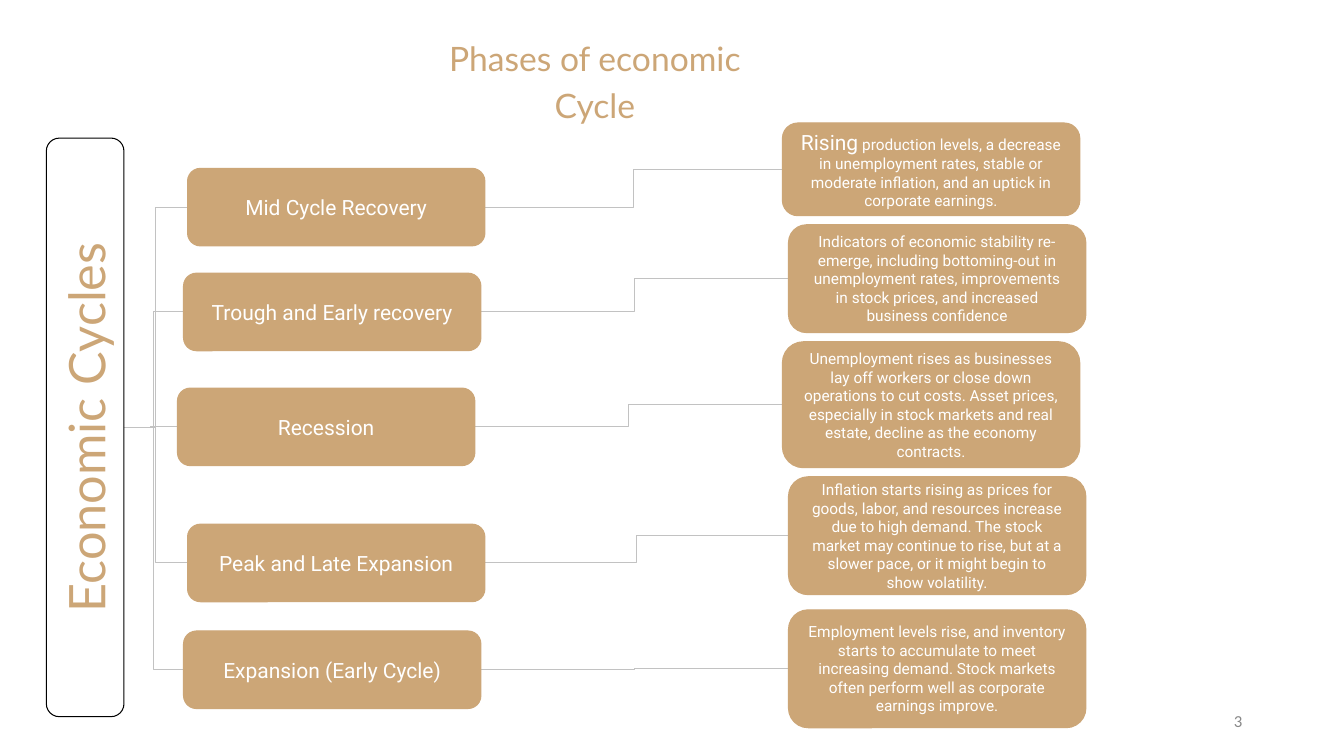
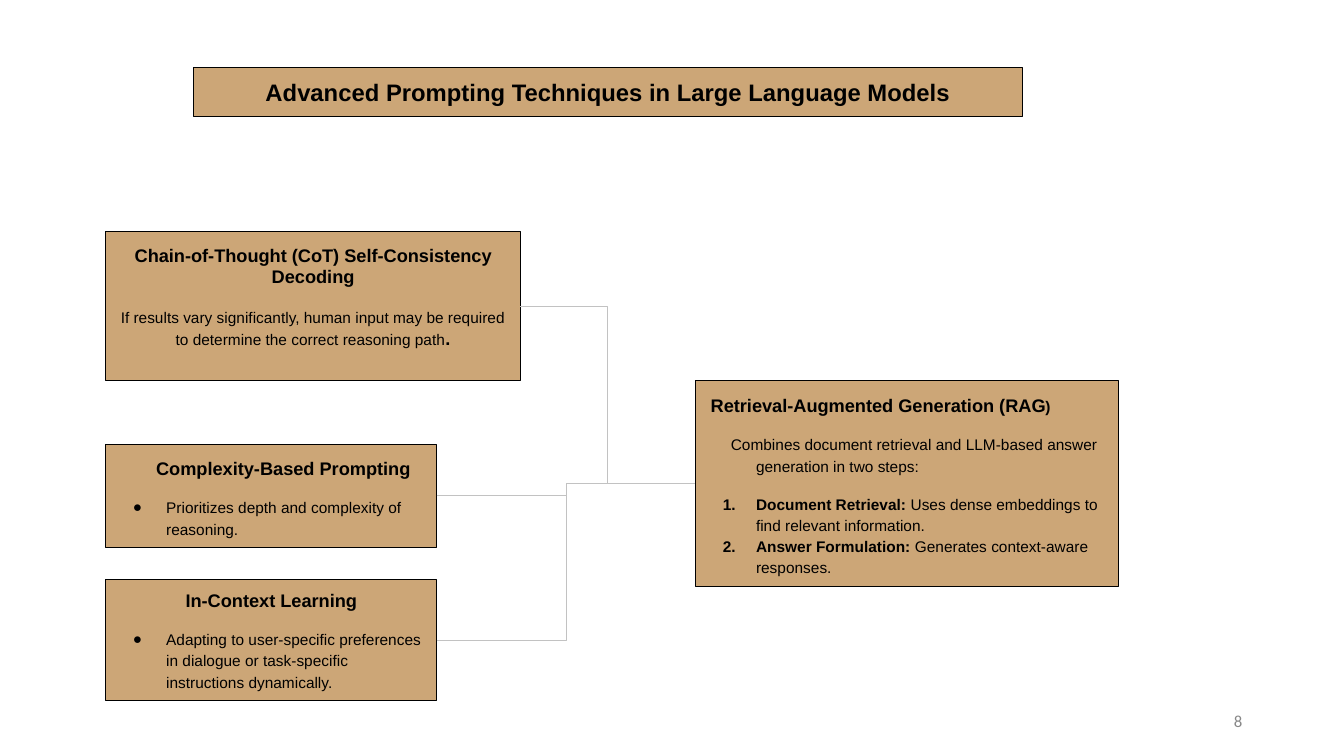
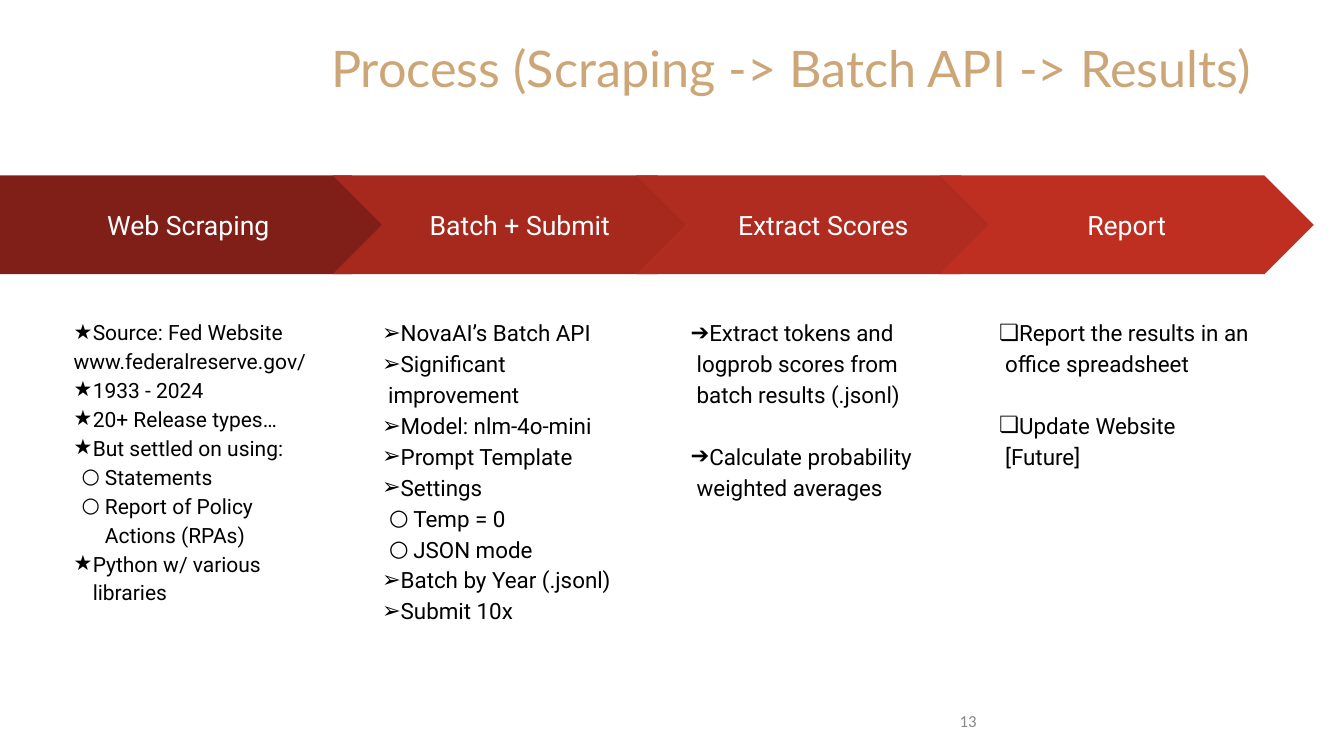
from dataclasses import dataclass

from lxml.etree import SubElement
from pptx import Presentation
from pptx.dml.color import RGBColor
from pptx.enum.shapes import MSO_CONNECTOR, MSO_SHAPE
from pptx.enum.text import MSO_ANCHOR, PP_ALIGN
from pptx.oxml.ns import qn
from pptx.util import Inches, Pt

COLORS = {
    "tan": "CCA677",
    "black": "000000",
    "white": "FFFFFF",
    "connector": "C2C2C2",
    "number": "888888",
    "step1": "801F17",
    "step2": "A7291E",
    "step3": "B02B20",
    "step4": "BE2F22",
}


@dataclass
class Style:
    font: str
    size: float
    color: str
    bold: bool = False


@dataclass
class Line:
    runs: list
    align: PP_ALIGN = PP_ALIGN.LEFT
    spacing: float = 1.0
    before: float = 0
    margin: float = 0
    indent: float = 0
    bullet: str = ""
    level: int = 0


CENTER = PP_ALIGN.CENTER
TITLE = Style("Lato", 36, "tan")
SMALL_TITLE = Style("Lato", 24, "tan")
PHASE = Style("Roboto", 15, "white")
DETAIL = Style("Roboto", 11, "white")
STEP = Style("Roboto", 19, "white")
NUMBER = Style("Calibri", 12, "number")
CARD_TITLE = Style("Arial", 13, "black", True)
CARD_BODY = Style("Arial", 11, "black")
CARD_BOLD = Style("Arial", 11, "black", True)
HEADING = Style("Arial", 17, "black", True)


def rgb(name):
    return RGBColor.from_string(COLORS[name])


def centered(text, style, spacing=1.0, before=0):
    return Line([(text, style)], CENTER, spacing, before)


def set_bullet(paragraph, line):
    properties = paragraph._p.get_or_add_pPr()
    properties.set("marL", str(Inches(line.margin)))
    properties.set("indent", str(Inches(line.indent)))
    if not line.bullet:
        return
    color = SubElement(properties, qn("a:buClr"))
    SubElement(color, qn("a:srgbClr"), val=COLORS["black"])
    SubElement(properties, qn("a:buFont"), typeface=line.runs[0][1].font)
    if line.bullet == "1.":
        SubElement(properties, qn("a:buAutoNum"), type="arabicPeriod")
    else:
        SubElement(properties, qn("a:buChar"), char=line.bullet)


def write(shape, lines, insets, anchor=MSO_ANCHOR.MIDDLE):
    frame = shape.text_frame
    frame.word_wrap = True
    frame.vertical_anchor = anchor
    frame.margin_left, frame.margin_top, frame.margin_right, frame.margin_bottom = map(Inches, insets)
    for index, line in enumerate(lines):
        paragraph = frame.add_paragraph() if index else frame.paragraphs[0]
        paragraph.alignment = line.align
        paragraph.level = line.level
        paragraph.line_spacing = line.spacing
        paragraph.space_before = Pt(line.before)
        set_bullet(paragraph, line)
        for text, style in line.runs:
            run = paragraph.add_run()
            run.text = text
            run.font.name = style.font
            run.font.size = Pt(style.size)
            run.font.bold = style.bold
            run.font.color.rgb = rgb(style.color)


def add_text(slide, box, lines, insets=(0.1, 0.05, 0.1, 0.05), anchor=MSO_ANCHOR.TOP):
    shape = slide.shapes.add_textbox(*map(Inches, box))
    write(shape, lines, insets, anchor)


def add_box(slide, kind, box, lines, fill="tan", outline=None, insets=(0.13,) * 4):
    shape = slide.shapes.add_shape(kind, *map(Inches, box))
    shape.shadow.inherit = False
    shape.fill.solid()
    shape.fill.fore_color.rgb = rgb(fill)
    if outline:
        shape.line.color.rgb = rgb(outline)
        shape.line.width = Pt(0.75)
    else:
        shape.line.fill.background()
    write(shape, lines, insets)
    return shape


def add_elbow(slide, start, end):
    connector = slide.shapes.add_connector(MSO_CONNECTOR.ELBOW, *map(Inches, start + end))
    connector.line.color.rgb = rgb("connector")
    connector.line.width = Pt(0.75)
    SubElement(connector._element.spPr, qn("a:effectLst"))


def left_middle(box):
    return box[0], box[1] + box[3] / 2


def right_middle(box):
    return box[0] + box[2], box[1] + box[3] / 2


def add_slide(presentation, number, align=PP_ALIGN.RIGHT):
    slide = presentation.slides.add_slide(presentation.slide_layouts[6])
    add_text(slide, (9.42, 6.95, 3, 0.4), [Line([(number, NUMBER)], align)], anchor=MSO_ANCHOR.MIDDLE)
    return slide


def add_spine(slide, box, text):
    left, top, width, height = box
    turned = (left + (width - height) / 2, top + (height - width) / 2, height, width)
    shape = add_box(slide, MSO_SHAPE.ROUNDED_RECTANGLE, turned, [centered(text, TITLE)], "white", "black")
    shape.rotation = 270


def add_phase(slide, spine, phase_box, name, detail_box, detail_runs):
    add_elbow(slide, right_middle(spine), left_middle(phase_box))
    add_elbow(slide, right_middle(phase_box), left_middle(detail_box))
    for box, line in ((phase_box, centered(name, PHASE)), (detail_box, Line(detail_runs, CENTER))):
        add_box(slide, MSO_SHAPE.ROUNDED_RECTANGLE, box, [line], outline="tan")


def build_phases(presentation):
    slide = add_slide(presentation, "3")
    add_text(slide, (3.93, 0.22, 3.94, 1.07),
             [centered("Phases of economic Cycle", SMALL_TITLE, 1.15)], (0.2, 0.1, 0.2, 0.1))
    spine = (0.46, 1.37, 0.77, 5.74)
    phases = [
        ("Mid Cycle Recovery", 1.86, 1.67, 7.76, 1.22, 0.92,
         [("Rising", PHASE),
          (" production levels, a decrease in unemployment rates, stable or moderate inflation, "
           "and an uptick in corporate earnings.", DETAIL)]),
        ("Trough and Early recovery", 1.82, 2.71, 7.82, 2.23, 1.07,
         [("Indicators of economic stability re-emerge, including bottoming-out in unemployment rates, "
           "improvements in stock prices, and increased business confidence", DETAIL)]),
        ("Recession", 1.76, 3.85, 7.76, 3.39, 1.25,
         [("Unemployment rises as businesses lay off workers or close down operations to cut costs. "
           "Asset prices, especially in stock markets and real estate, decline as the economy contracts.",
           DETAIL)]),
        ("Peak and Late Expansion", 1.86, 5.2, 7.82, 4.73, 1.17,
         [("Inflation starts rising as prices for goods, labor, and resources increase due to high demand. "
           "The stock market may continue to rise, but at a slower pace, or it might begin to show volatility.",
           DETAIL)]),
        ("Expansion (Early Cycle)", 1.82, 6.26, 7.82, 6.05, 1.17,
         [("Employment levels rise, and inventory starts to accumulate to meet increasing demand. "
           "Stock markets often perform well as corporate earnings improve.", DETAIL)]),
    ]
    for name, left, top, detail_left, detail_top, detail_height, runs in phases:
        add_phase(slide, spine, (left, top, 2.95, 0.77), name,
                  (detail_left, detail_top, 2.95, detail_height), runs)
    add_spine(slide, spine, "Economic Cycles")


def card_item(bullet, runs, before=12):
    return Line(runs, spacing=1.15, before=before, margin=0.5, indent=-0.33, bullet=bullet)


def add_card(slide, box, lines, bottom=0.1):
    add_box(slide, MSO_SHAPE.RECTANGLE, box, lines, outline="black", insets=(0.1, 0.1, 0.1, bottom))


def build_prompting(presentation):
    slide = add_slide(presentation, "8")
    add_card(slide, (1.92, 0.67, 8.22, 0.49),
             [centered("Advanced Prompting Techniques in Large Language Models", HEADING)])
    retrieval = (6.9, 3.78, 4.19, 2.04)
    techniques = [
        ((1.05, 2.3, 4.11, 1.48), 0.3, [
            centered("Chain-of-Thought (CoT) Self-Consistency Decoding", CARD_TITLE),
            Line([("If results vary significantly, human input may be required to determine "
                   "the correct reasoning path", CARD_BODY), (".", CARD_TITLE)], CENTER, before=15)]),
        ((1.05, 4.41, 3.28, 1.02), 0.1, [
            Line([("Complexity-Based Prompting", CARD_TITLE)], spacing=1.15, margin=0.4),
            card_item("●", [("Prioritizes depth and complexity of reasoning.", CARD_BODY)])]),
        ((1.05, 5.75, 3.28, 1.2), 0.1, [
            centered("In-Context Learning", CARD_TITLE),
            card_item("●", [("Adapting to user-specific preferences in dialogue or task-specific "
                             "instructions dynamically.", CARD_BODY)])]),
    ]
    for box, bottom, lines in techniques:
        add_card(slide, box, lines, bottom)
        add_elbow(slide, right_middle(box), left_middle(retrieval))
    add_card(slide, retrieval, [
        Line([("Retrieval-Augmented Generation (RAG", CARD_TITLE), (")", CARD_BOLD)],
             spacing=1.15, margin=0.05),
        Line([("Combines document retrieval and LLM-based answer generation in two steps:", CARD_BODY)],
             spacing=1.15, before=12, margin=0.5, indent=-0.25),
        card_item("1.", [("Document Retrieval:", CARD_BOLD),
                         (" Uses dense embeddings to find relevant information.", CARD_BODY)]),
        card_item("1.", [("Answer Formulation:", CARD_BOLD),
                         (" Generates context-aware responses.", CARD_BODY)], 0),
    ])


def add_step(slide, kind, arrow_box, fill, name, notes_box, size, margin, hang, gap, items):
    add_box(slide, kind, arrow_box, [centered(name, STEP)], fill)
    style = Style("Roboto", size, "black")
    lines = []
    for index, (bullet, text) in enumerate(items):
        level = int(bullet == "○")
        lines.append(Line([(text, style)], spacing=1.15, before=gap if index else 0,
                          margin=(0.31 if level else margin) if bullet else 0,
                          indent=-hang if bullet else 0, bullet=bullet, level=level))
    add_text(slide, notes_box, lines, (0.13,) * 4)


def build_process(presentation):
    slide = add_slide(presentation, "13", PP_ALIGN.LEFT)
    add_text(slide, (2.8, 0.32, 10.09, 0.71),
             [centered("Process (Scraping -> Batch API -> Results)", TITLE)])
    steps = [
        ("Web Scraping", 15, 0.19, 0.23, 0, [
            ("★", "Source: Fed Website"), ("", "www.federalreserve.gov/"), ("★", "1933 - 2024"),
            ("★", "20+ Release types…"), ("★", "But settled on using:"), ("○", "Statements"),
            ("○", "Report of Policy Actions (RPAs)"), ("★", "Python w/ various libraries")]),
        ("Batch + Submit", 16, 0.06, 0.24, 0, [
            ("➢", "NovaAI’s Batch API"), ("➢", "Significant improvement"), ("➢", "Model: nlm-4o-mini"),
            ("➢", "Prompt Template"), ("➢", "Settings"), ("○", "Temp = 0"), ("○", "JSON mode"),
            ("➢", "Batch by Year (.jsonl)"), ("➢", "Submit 10x")]),
        ("Extract Scores", 16, 0.06, 0.24, 22, [
            ("➔", "Extract tokens and logprob scores from batch results (.jsonl)"),
            ("➔", "Calculate probability weighted averages")]),
        ("Report", 16, 0.06, 0.24, 22, [
            ("❏", "Report the results in an office spreadsheet"), ("❏", "Update Website [Future]")]),
    ]
    for index, (name, *layout) in enumerate(steps):
        kind = MSO_SHAPE.CHEVRON if index else MSO_SHAPE.PENTAGON
        arrow_box = (3.3 + 3.01 * (index - 1), 1.74, 3.71, 0.98) if index else (0, 1.74, 3.98, 0.98)
        add_step(slide, kind, arrow_box, f"step{index + 1}", name,
                 (0.6 + 3.06 * index, 3, 2.78, 3.81), *layout)


def main():
    presentation = Presentation()
    presentation.slide_width = Inches(13.33)
    presentation.slide_height = Inches(7.5)
    build_phases(presentation)
    build_prompting(presentation)
    build_process(presentation)
    presentation.save("out.pptx")


if __name__ == "__main__":
    main()
